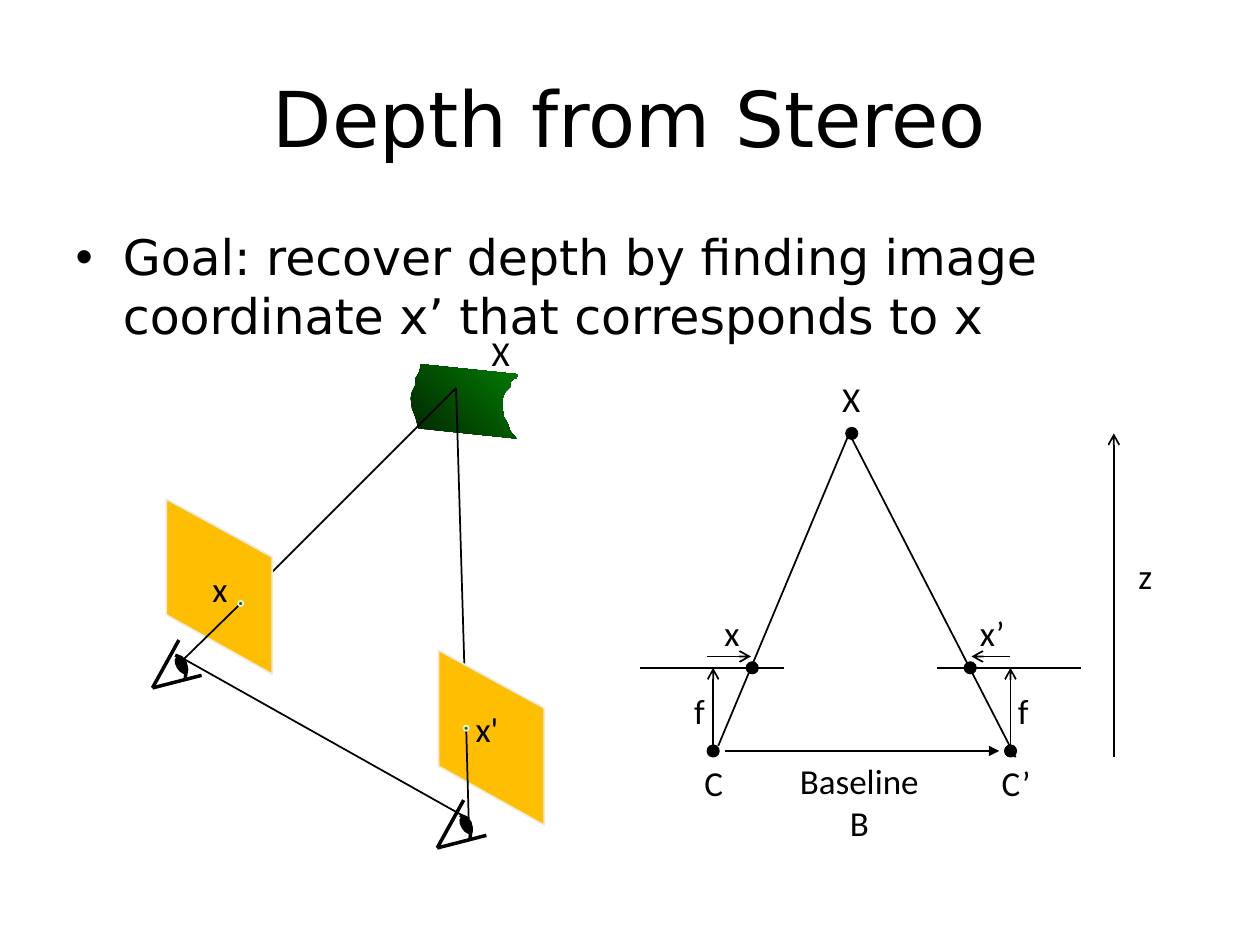
"""Build the slide on depth from stereo."""
from lxml import etree
from pptx import Presentation
from pptx.dml.color import RGBColor
from pptx.enum.shapes import MSO_CONNECTOR, MSO_SHAPE
from pptx.enum.text import MSO_ANCHOR, MSO_AUTO_SIZE, PP_ALIGN
from pptx.oxml.ns import qn
from pptx.util import Inches, Pt

LINE, OVAL = MSO_CONNECTOR.STRAIGHT, MSO_SHAPE.OVAL
MIDDLE, CENTER, GROW = MSO_ANCHOR.MIDDLE, PP_ALIGN.CENTER, MSO_AUTO_SIZE.SHAPE_TO_FIT_TEXT
BLACK, GOLD, CREAM, GREEN, DARK_GREEN = "000000", "FEBF02", "EEECE1", "037C03", "012501"
TITLE = {"name": "DejaVu Sans", "size": Pt(44)}
BODY = {"name": "DejaVu Sans", "size": Pt(28)}
LABEL = {"name": "Calibri", "size": Pt(20)}

PATCH = [
    (3.34, 2.89), (3.33, 2.95), (3.3, 3), (3.3, 3.05), (3.27, 3.11), (3.26, 3.16),
    (3.27, 3.24), (3.3, 3.32), (3.32, 3.4), (4.1, 3.48), (4.05, 3.42), (4.03, 3.36),
    (4, 3.31), (3.99, 3.25), (3.99, 3.16), (4.01, 3.11), (4.05, 3.07), (4.05, 3.04),
    (4.07, 3.01), (4.1, 3), (4.11, 2.97),
]
PLANE = [(1.32, 4.88), (2.16, 5.35), (2.16, 4.42), (1.32, 3.96)]
CORNEA = [(1.39, 5.2), (1.44, 5.22), (1.47, 5.26), (1.48, 5.31), (1.47, 5.38)]
LENSES = [(5.66, 5.96), (8.02, 5.96)]
IMAGE_POINTS = [(5.97, 5.3), (7.7, 5.3)]
SCENE_POINT = (6.76, 3.44)


def color(hex_str):
    """Return the colour for a hex string."""
    return RGBColor.from_string(hex_str)


def style(sp, fill=None, line=None, width=1):
    """Set fill and outline of a shape without shadow."""
    sp.shadow.inherit = False
    if fill:
        sp.fill.solid()
        sp.fill.fore_color.rgb = color(fill)
    else:
        sp.fill.background()
    if line:
        sp.line.color.rgb = color(line)
        sp.line.width = Pt(width)
    else:
        sp.line.fill.background()


def format_text(tf, text, fmt):
    """Fill a text frame's first paragraph and format its runs."""
    p = tf.paragraphs[0]
    p.text = text
    for r in p.runs:
        r.font.color.rgb = color(BLACK)
        for name, value in fmt.items():
            setattr(r.font, name, value)
    return p


def fill_placeholder(sp, text, fmt, *box):
    """Place a placeholder and give it its text."""
    for name, value in zip(("left", "top", "width", "height"), box):
        setattr(sp, name, Inches(value))
    return format_text(sp.text_frame, text, fmt)


def add_label(s, text, x, y, w, h=0.44, wrap=True):
    """Add a centred label."""
    tf = s.shapes.add_textbox(Inches(x), Inches(y), Inches(w), Inches(h)).text_frame
    for name, value in {"word_wrap": wrap, "auto_size": GROW, "vertical_anchor": MIDDLE}.items():
        setattr(tf, name, value)
    format_text(tf, text, LABEL).alignment = CENTER


def add_line(s, start, end, width=1, arrow=None):
    """Add a straight black line, with an arrowhead at its end if named."""
    sp = s.shapes.add_connector(LINE, *map(Inches, (*start, *end)))
    sp.line.color.rgb = color(BLACK)
    sp.line.width = Pt(width)
    if arrow:
        etree.SubElement(sp.line._get_or_add_ln(), qn("a:tailEnd"), type=arrow)
    etree.SubElement(sp._element.spPr, qn("a:effectLst"))


def add_oval(s, center, w, h, fill=BLACK, line=BLACK, rotation=0):
    """Add an oval around its centre."""
    x, y = center
    sp = s.shapes.add_shape(OVAL, *map(Inches, (x - w / 2, y - h / 2, w, h)))
    sp.rotation = rotation
    style(sp, fill, line)


def add_outline(s, points, close=True, **look):
    """Add a freeform through the points."""
    pts = [(Inches(x), Inches(y)) for x, y in points]
    builder = s.shapes.build_freeform(*pts[0], scale=1.0)
    builder.add_line_segments(pts[1:], close=close)
    sp = builder.convert_to_shape()
    style(sp, **look)
    return sp


def shift(points, dx, dy):
    """Move points by an offset."""
    return [(x + dx, y + dy) for x, y in points]


def add_eye(s, dx, dy):
    """Add an eye moved by an offset."""
    top, corner, right, pupil = shift([(1.42, 5.08), (1.21, 5.46), (1.6, 5.36), (1.44, 5.28)], dx, dy)
    add_outline(s, shift(CORNEA, dx, dy), close=False, line=BLACK, width=2)
    add_line(s, top, corner, 2)
    add_oval(s, pupil, 0.07, 0.14, rotation=329)
    add_line(s, corner, right, 2)


def add_geometry(s):
    """Add the triangle diagram with depth, focal length and baseline."""
    for x in (5.08, 7.44):
        add_line(s, (x, 5.3), (x + 1.14, 5.3))
    add_line(s, (5.7, 5.92), (6.74, 3.44))
    add_line(s, (8.06, 6.01), (6.74, 3.44))
    for center in (*LENSES, *IMAGE_POINTS, SCENE_POINT):
        add_oval(s, center, 0.09, 0.09)
    for x in (5.66, 8.02):
        add_line(s, (x, 5.92), (x, 5.3), arrow="arrow")
    add_line(s, (5.61, 5.21), (5.96, 5.21), arrow="arrow")
    add_line(s, (8.02, 5.21), (7.71, 5.21), arrow="arrow")
    add_line(s, (8.84, 6.01), (8.84, 3.44), arrow="arrow")
    add_line(s, (5.75, 5.96), (7.93, 5.96), 1.5, "triangle")
    for text, x, y, w in (
        ("f", 5.41, 5.42, 0.28), ("f", 7.98, 5.42, 0.28), ("x", 5.64, 4.8, 0.34),
        ("x’", 7.67, 4.8, 0.41), ("z", 8.92, 4.35, 0.34),
    ):
        add_label(s, text, x, y, w, wrap=False)
    add_label(s, "Baseline\vB", 6.18, 5.98, 1.28, 0.77, wrap=False)
    for text, x, y in (("C", 5.22, 5.99), ("C’", 7.62, 5.99), ("X", 6.31, 2.94)):
        add_label(s, text, x, y, 0.89)


def add_scene(s):
    """Add the two eyes viewing a surface through image planes."""
    sp = add_outline(s, PATCH)
    sp.fill.gradient()
    sp.fill.gradient_angle = 45
    for stop, shade in zip(sp.fill.gradient_stops, (DARK_GREEN, GREEN)):
        stop.color.rgb = color(shade)
    left_eye, right_eye, target = (1.46, 5.23), (3.72, 6.5), (3.62, 3.08)
    add_line(s, left_eye, right_eye)
    views = (
        (left_eye, (1.91, 4.79), (0, 0), (0, 0)),
        (right_eye, (3.7, 5.78), (2.16, 1.2), (2.26, 1.27)),
    )
    for eye, spot, plane_offset, eye_offset in views:
        add_line(s, spot, target)
        add_outline(s, shift(PLANE, *plane_offset), fill=GOLD, line=CREAM)
        add_line(s, eye, spot)
        add_eye(s, *eye_offset)
        add_oval(s, spot, 0.04, 0.04, GREEN, CREAM)
    for text, x, y in (("X", 3.65, 2.58), ("x", 1.42, 4.45), ("x'", 3.54, 5.56)):
        add_label(s, text, x, y, 0.65)


def main():
    """Build and save the slide."""
    prs = Presentation()
    prs.slide_width, prs.slide_height = Inches(10), Inches(7.5)
    s = prs.slides.add_slide(prs.slide_layouts[1])
    fill_placeholder(s.shapes.title, "Depth from Stereo", TITLE, 0.5, 0.3, 9, 1.25)
    fill_placeholder(
        s.placeholders[1],
        "Goal: recover depth by finding image coordinate x’ that corresponds to x",
        BODY, 0.5, 1.75, 9, 4.95,
    )
    add_geometry(s)
    add_scene(s)
    prs.save("out.pptx")


if __name__ == "__main__":
    main()
